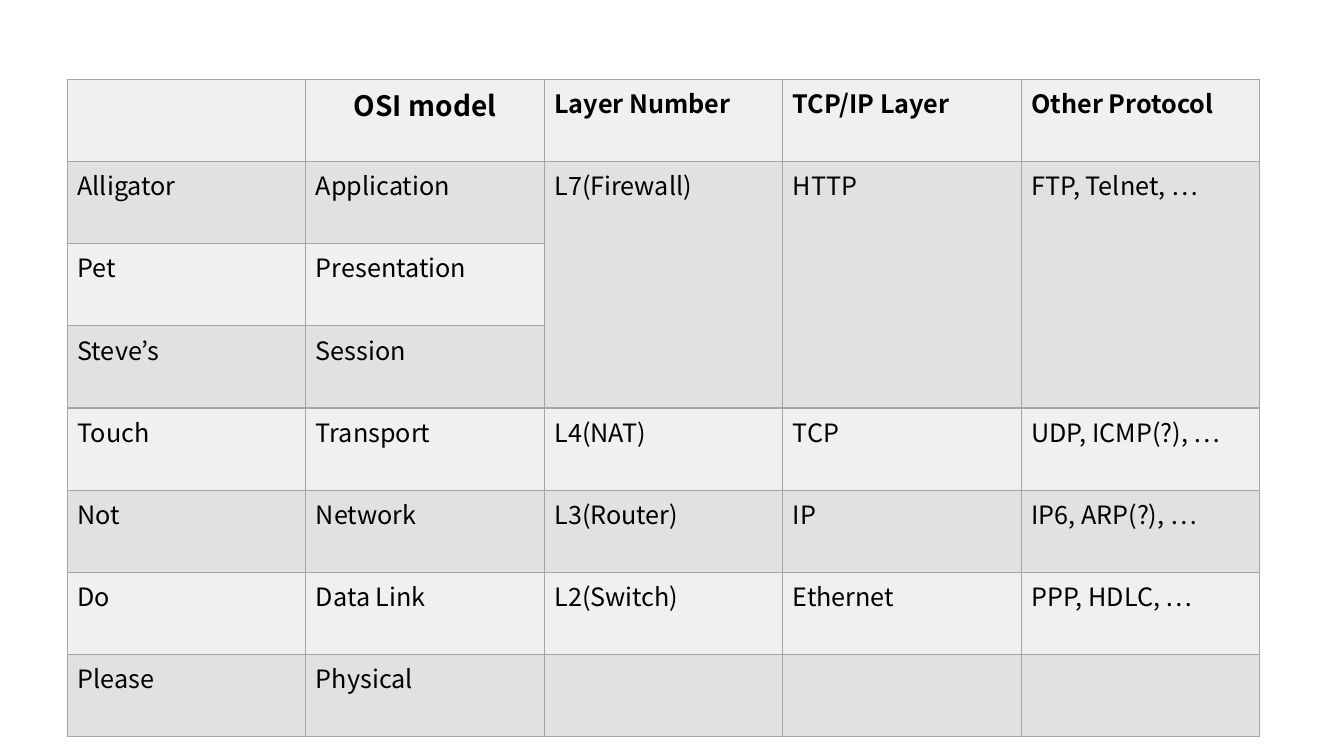
from dataclasses import dataclass
from typing import NamedTuple

from lxml.etree import SubElement
from pptx import Presentation
from pptx.dml.color import RGBColor
from pptx.enum.text import PP_ALIGN as Align
from pptx.oxml.ns import qn
from pptx.table import Table, _Cell as Cell
from pptx.util import Cm, Pt


@dataclass(frozen=True)
class Theme:
    font: str = "Noto Sans CJK KR"
    ink: str = "000000"
    border: str = "A5A5A5"
    bands: tuple[str, str] = ("F0F0F0", "E1E1E1")
    body_size: int = 18
    title_size: int = 20
    border_width: int = 1


class Layer(NamedTuple):
    mnemonic: str
    osi: str
    number: str = ""
    tcp_ip: str = ""
    other: str = ""


THEME = Theme()
LEFT, TOP = 1.7, 2.0
COLUMN_WIDTH, ROW_HEIGHT = 6.01, 2.07
APPLICATION_ROW, SESSION_ROW = 1, 3

HEADINGS = Layer("", "OSI model", "Layer Number", "TCP/IP Layer", "Other Protocol")
LAYERS = [
    Layer("Alligator", "Application", "L7(Firewall)", "HTTP", "FTP, Telnet, …"),
    Layer("Pet", "Presentation"),
    Layer("Steve’s", "Session"),
    Layer("Touch", "Transport", "L4(NAT)", "TCP", "UDP, ICMP(?), …"),
    Layer("Not", "Network", "L3(Router)", "IP", "IP6, ARP(?), …"),
    Layer("Do", "Data Link", "L2(Switch)", "Ethernet", "PPP, HDLC, …"),
    Layer("Please", "Physical"),
]


def write(cell: Cell, text: str, *, size: int = THEME.body_size,
          bold: bool = False, align: Align = Align.LEFT) -> None:
    paragraph = cell.text_frame.paragraphs[0]
    paragraph.alignment = align
    run = paragraph.add_run()
    run.text = text
    run.font.name = THEME.font
    run.font.size = Pt(size)
    run.font.bold = bold
    run.font.color.rgb = RGBColor.from_string(THEME.ink)
    SubElement(run.font._element, qn("a:ea"), typeface=THEME.font)


def style_cell(cell: Cell, fill: str) -> None:
    properties = cell._tc.get_or_add_tcPr()
    for side in ("L", "R", "T", "B"):
        line = SubElement(properties, qn(f"a:ln{side}"), w=str(Pt(THEME.border_width)))
        solid = SubElement(line, qn("a:solidFill"))
        SubElement(solid, qn("a:srgbClr"), val=THEME.border)
    cell.fill.solid()
    cell.fill.fore_color.rgb = RGBColor.from_string(fill)


def fill_row(table: Table, row: int, layer: Layer) -> None:
    heading = layer is HEADINGS
    for column, (field, text) in enumerate(layer._asdict().items()):
        cell = table.cell(row, column)
        style_cell(cell, THEME.bands[row % 2])
        if heading and field == "osi":
            write(cell, text, size=THEME.title_size, bold=True, align=Align.CENTER)
        elif text:
            write(cell, text, bold=heading)


def main() -> None:
    presentation = Presentation()
    presentation.slide_width, presentation.slide_height = Cm(33.87), Cm(19.05)
    slide = presentation.slides.add_slide(presentation.slide_layouts[6])

    rows = [HEADINGS, *LAYERS]
    columns = len(Layer._fields)
    table = slide.shapes.add_table(
        len(rows), columns, Cm(LEFT), Cm(TOP),
        Cm(COLUMN_WIDTH * columns), Cm(ROW_HEIGHT * len(rows)),
    ).table
    table.first_row = table.horz_banding = False

    for row, layer in enumerate(rows):
        fill_row(table, row, layer)
    for field in ("number", "tcp_ip", "other"):
        column = Layer._fields.index(field)
        table.cell(APPLICATION_ROW, column).merge(table.cell(SESSION_ROW, column))

    presentation.save("out.pptx")


if __name__ == "__main__":
    main()
